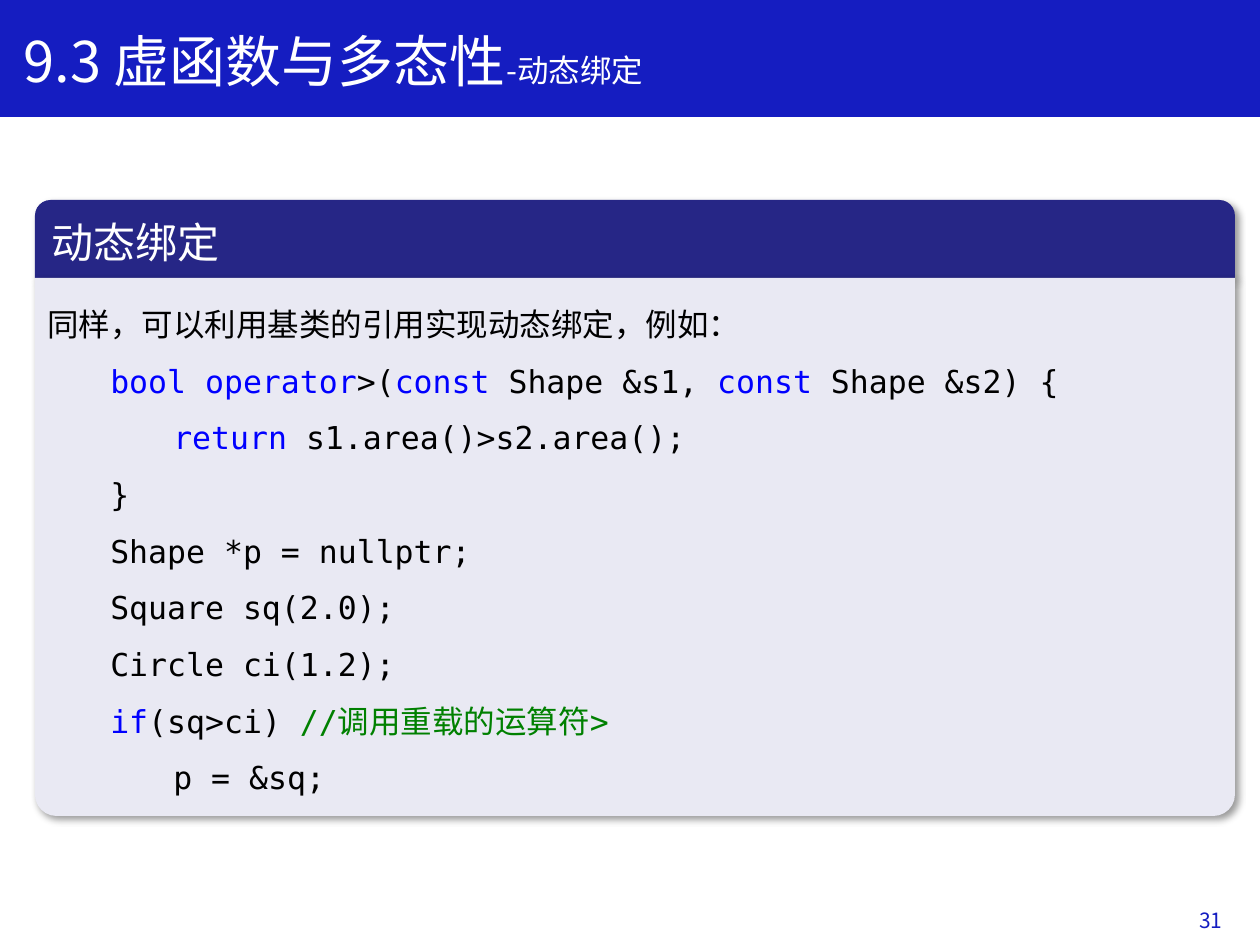
"""Build the dynamic binding slide with python-pptx."""
from dataclasses import dataclass

from lxml.etree import SubElement
from pptx import Presentation
from pptx.dml.color import RGBColor
from pptx.enum.shapes import MSO_SHAPE
from pptx.enum.text import MSO_ANCHOR, PP_ALIGN
from pptx.oxml import parse_xml
from pptx.oxml.ns import nsdecls, qn
from pptx.util import Pt

PX = 914400 / 126


@dataclass(frozen=True)
class Theme:
    """Hold the colours, fonts and type sizes of the slide."""
    banner: str = "151DC1"
    header: str = "262686"
    panel: str = "E9E9F3"
    white: str = "FFFFFF"
    text: str = "000000"
    keyword: str = "0000FF"
    comment: str = "008000"
    sans: str = "Noto Sans CJK SC"
    mono: str = "DejaVu Sans Mono"
    title: float = 32
    heading: float = 24
    body: float = 18
    number: float = 12
    leading: float = 32.4


T = Theme()


def px(n):
    """Turn pixels into EMU."""
    return round(n * PX)


def apply(obj, fmt):
    """Set each attribute named in a dict of format values."""
    for name, value in fmt.items():
        setattr(obj, name, value)


def run(text, color=T.text, size=T.body, font=T.mono):
    """Describe one run of text."""
    return text, color, size, font


def add_run(p, text, color, size, font):
    """Append a run that uses one font for Latin and East Asian text."""
    r = p.add_run()
    r.text = text
    apply(r.font, {"size": Pt(size), "name": font, "bold": False})
    r.font.color.rgb = RGBColor.from_string(color)
    SubElement(r._r.get_or_add_rPr(), qn("a:ea"), typeface=font)


def fill_text(sp, lines, frame, para):
    """Write (level, runs) lines into the text frame of a shape."""
    tf = sp.text_frame
    apply(tf, {"word_wrap": True, **frame})
    for i, (level, runs) in enumerate(lines):
        p = tf.add_paragraph() if i else tf.paragraphs[0]
        apply(p, {"level": level, **para})
        pPr = p._p.get_or_add_pPr()
        pPr.set("marL", str(px(63 * level)))
        pPr.set("indent", "0")
        for item in runs:
            add_run(p, *item)


def add_text(shapes, box, runs, align=PP_ALIGN.LEFT):
    """Add a one-line text box centred on its height."""
    sp = shapes.add_textbox(*map(px, box))
    fill_text(sp, [(0, runs)], {"vertical_anchor": MSO_ANCHOR.MIDDLE},
              {"alignment": align})


def add_block(shapes, kind, box, color, corners=()):
    """Add a filled shape without an outline."""
    sp = shapes.add_shape(kind, *map(px, box))
    sp.shadow.inherit = False
    sp.fill.solid()
    sp.fill.fore_color.rgb = RGBColor.from_string(color)
    sp.line.fill.background()
    for i, value in enumerate(corners):
        sp.adjustments[i] = value
    return sp


def add_shadow(sp):
    """Give a shape a soft shadow to the lower right."""
    effects = sp._element.spPr.find(qn("a:effectLst"))
    effects.append(parse_xml(
        f'<a:outerShdw {nsdecls("a")} blurRad="{Pt(4)}" dist="{Pt(3)}" '
        'dir="2700000" algn="tl" rotWithShape="0"><a:srgbClr val="000000">'
        '<a:alpha val="40000"/></a:srgbClr></a:outerShdw>'))


def add_panel(shapes, box, color, corners, lines, frame, para):
    """Add a shadowed panel with two rounded corners and text."""
    sp = add_block(shapes, MSO_SHAPE.ROUND_2_SAME_RECTANGLE, box, color, corners)
    add_shadow(sp)
    fill_text(sp, lines, frame, {"alignment": PP_ALIGN.LEFT, **para})


def code_lines():
    """Return the introduction and the highlighted code."""
    return [
        (0, [run("同样，可以利用基类的引用实现动态绑定，例如：", font=T.sans)]),
        (1, [run("bool operator", T.keyword), run(">("),
             run("const ", T.keyword), run("Shape &s1, "),
             run("const ", T.keyword), run("Shape &s2) {")]),
        (2, [run("return ", T.keyword), run("s1.area()>s2.area();")]),
        (1, [run("}")]),
        (1, [run("Shape *p = nullptr;")]),
        (1, [run("Square sq(2.0);")]),
        (1, [run("Circle ci(1.2);")]),
        (1, [run("if", T.keyword), run("(sq>ci) "), run("//", T.comment),
             run("调用重载的运算符", T.comment, font=T.sans),
             run(">", T.comment)]),
        (2, [run("p = &sq;")]),
    ]


def main():
    """Build the slide and save it."""
    prs = Presentation()
    apply(prs, {"slide_width": px(1260), "slide_height": px(945)})
    s = prs.slides.add_slide(prs.slide_layouts[6])

    add_block(s.shapes, MSO_SHAPE.RECTANGLE, (0, 0, 1260, 117), T.banner)
    add_text(s.shapes, (951, 895, 284, 50),
             [run("31", T.banner, T.number, T.sans)], PP_ALIGN.RIGHT)

    group = s.shapes.add_group_shape().shapes
    add_panel(group, (35, 200, 1200, 78), T.header, (0.2, 0),
              [(0, [run("动态绑定", T.white, T.heading, T.sans)])],
              {"vertical_anchor": MSO_ANCHOR.MIDDLE}, {})
    add_panel(group, (35, 278, 1200, 538), T.panel, (0, 0.04), code_lines(),
              {"vertical_anchor": MSO_ANCHOR.TOP, "margin_left": px(6),
               "margin_top": px(8)},
              {"line_spacing": Pt(T.leading)})

    add_text(s.shapes, (11, 20, 1200, 81),
             [run("9.3 虚函数与多态性", T.white, T.title, T.sans),
              run("-动态绑定", T.white, T.body, T.sans)])
    prs.save("out.pptx")


if __name__ == "__main__":
    main()
